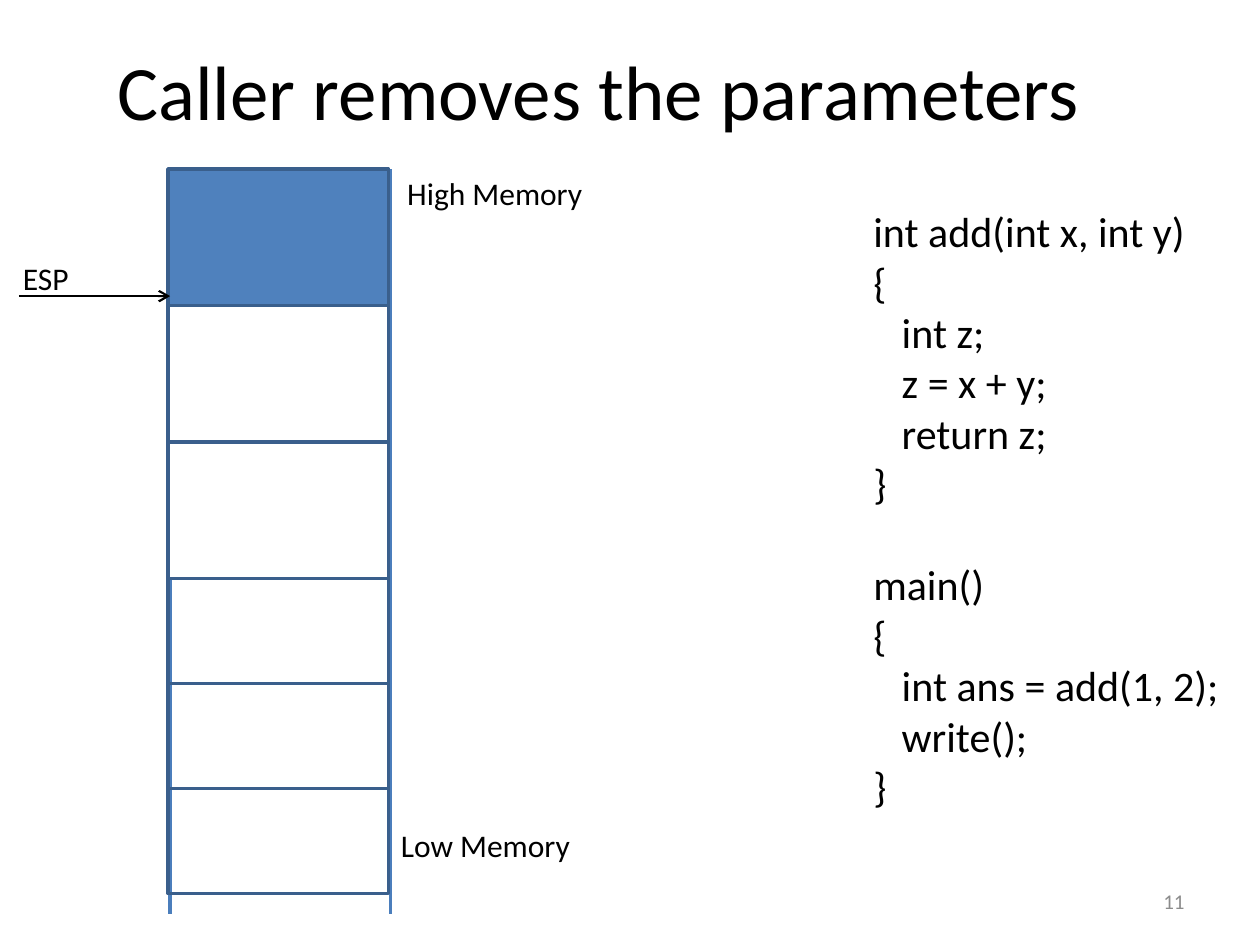
"""Build the slide that shows the stack after the caller removes the parameters."""
from dataclasses import dataclass
from typing import Optional

from lxml import etree
from pptx import Presentation
from pptx.dml.color import RGBColor
from pptx.enum.shapes import MSO_CONNECTOR, MSO_SHAPE
from pptx.enum.text import MSO_ANCHOR, PP_ALIGN
from pptx.oxml.ns import qn
from pptx.shapes.connector import Connector
from pptx.slide import Slide
from pptx.util import Emu, Pt

RECTANGLE = MSO_SHAPE.RECTANGLE
STRAIGHT = MSO_CONNECTOR.STRAIGHT
TOP, MIDDLE = MSO_ANCHOR.TOP, MSO_ANCHOR.MIDDLE
LEFT, CENTER, RIGHT = PP_ALIGN.LEFT, PP_ALIGN.CENTER, PP_ALIGN.RIGHT

EMU_PER_PX = 7620
SLIDE_WIDTH, SLIDE_HEIGHT = 1200, 900
FONT = "Calibri"
COLORS = {
    "text": "000000",
    "number": "8C8C8C",
    "rail": "4B7EBC",
    "border": "3A5F8C",
    "used": "4F81BD",
    "free": "FFFFFF",
}

STACK_LEFT, STACK_TOP, STACK_WIDTH = 160, 161, 210
CODE_INDENT = 27


@dataclass(frozen=True)
class Line:
    text: str
    level: int = 0
    space_before: int = 0


@dataclass(frozen=True)
class TextBlock:
    left: int
    top: int
    width: int
    height: int
    lines: tuple[Line, ...]
    size: int = 18
    color: str = "text"
    align: PP_ALIGN = LEFT
    anchor: MSO_ANCHOR = TOP
    wrap: bool = False


@dataclass(frozen=True)
class Cell:
    height: int
    fill: Optional[str] = None


@dataclass(frozen=True)
class Segment:
    start: tuple[int, int]
    end: tuple[int, int]
    color: str
    weight: float
    arrow: bool = False


CODE = (
    Line("int add(int x, int y)"),
    Line("{"),
    Line("int z;", level=1),
    Line("z = x + y;", level=1),
    Line("return z;", level=1),
    Line("}"),
    Line("main()", space_before=29),
    Line("{"),
    Line("int ans = add(1, 2);", level=1),
    Line("write();", level=1),
    Line("}"),
)
TEXT_BLOCKS = (
    TextBlock(30, 10, 1080, 150, (Line("Caller removes the parameters"),),
              size=44, align=CENTER, anchor=MIDDLE, wrap=True),
    TextBlock(370, 781, 187, 48, (Line("Low Memory"),)),
    TextBlock(376, 160, 193, 48, (Line("High Memory"),)),
    TextBlock(10, 241, 68, 48, (Line("ESP"),)),
    TextBlock(820, 190, 355, 594, CODE, size=24),
    TextBlock(860, 834, 280, 48, (Line("11"),), size=12,
              color="number", align=RIGHT, anchor=MIDDLE, wrap=True),
)
CELLS = (
    Cell(130, "used"),
    Cell(130, "free"),
    Cell(130, "free"),
    Cell(100),
    Cell(100),
    Cell(100),
)
RAILS = (
    Segment((162, 164), (162, 870), "rail", 2),
    Segment((372, 161), (372, 870), "rail", 2),
)
STACK_POINTER = Segment((18, 282), (162, 282), "text", 1.25, arrow=True)


def px(length: int) -> Emu:
    """Turn pixels into EMU."""
    return Emu(length * EMU_PER_PX)


def rgb(name: str) -> RGBColor:
    """Look up a named colour."""
    return RGBColor.from_string(COLORS[name])


def draw_text(slide: Slide, block: TextBlock) -> None:
    """Draw a text box with one paragraph for each line."""
    shape = slide.shapes.add_textbox(
        px(block.left), px(block.top), px(block.width), px(block.height))
    frame = shape.text_frame
    frame.word_wrap = block.wrap
    frame.vertical_anchor = block.anchor
    for index, line in enumerate(block.lines):
        paragraph = frame.add_paragraph() if index else frame.paragraphs[0]
        paragraph.text = line.text
        paragraph.alignment = block.align
        paragraph.font.name = FONT
        paragraph.font.size = Pt(block.size)
        paragraph.font.color.rgb = rgb(block.color)
        if line.space_before:
            paragraph.space_before = Pt(line.space_before)
        if line.level:
            properties = paragraph._p.get_or_add_pPr()
            properties.set("marL", str(px(line.level * CODE_INDENT)))
            properties.set("indent", "0")


def draw_segment(slide: Slide, segment: Segment) -> Connector:
    """Draw a straight line, with an arrowhead at its end if asked."""
    connector = slide.shapes.add_connector(
        STRAIGHT, *map(px, segment.start + segment.end))
    connector.line.color.rgb = rgb(segment.color)
    connector.line.width = Pt(segment.weight)
    if segment.arrow:
        line = connector.line._get_or_add_ln()
        etree.SubElement(line, qn("a:tailEnd"), type="arrow")
    etree.SubElement(connector._element.spPr, qn("a:effectLst"))
    return connector


def draw_stack(slide: Slide, cells: tuple[Cell, ...]) -> None:
    """Draw the memory cells one below the other."""
    top = STACK_TOP
    for cell in cells:
        shape = slide.shapes.add_shape(
            RECTANGLE, px(STACK_LEFT), px(top), px(STACK_WIDTH), px(cell.height))
        shape.shadow.inherit = False
        shape.line.color.rgb = rgb("border")
        shape.line.width = Pt(2)
        if cell.fill:
            shape.fill.solid()
            shape.fill.fore_color.rgb = rgb(cell.fill)
        else:
            shape.fill.background()
        top += cell.height


def main() -> None:
    """Build and save the presentation."""
    presentation = Presentation()
    presentation.slide_width = px(SLIDE_WIDTH)
    presentation.slide_height = px(SLIDE_HEIGHT)
    slide = presentation.slides.add_slide(presentation.slide_layouts[6])
    for rail in RAILS:
        draw_segment(slide, rail)
    draw_stack(slide, CELLS)
    draw_segment(slide, STACK_POINTER)
    for block in TEXT_BLOCKS:
        draw_text(slide, block)
    presentation.save("out.pptx")


if __name__ == "__main__":
    main()
